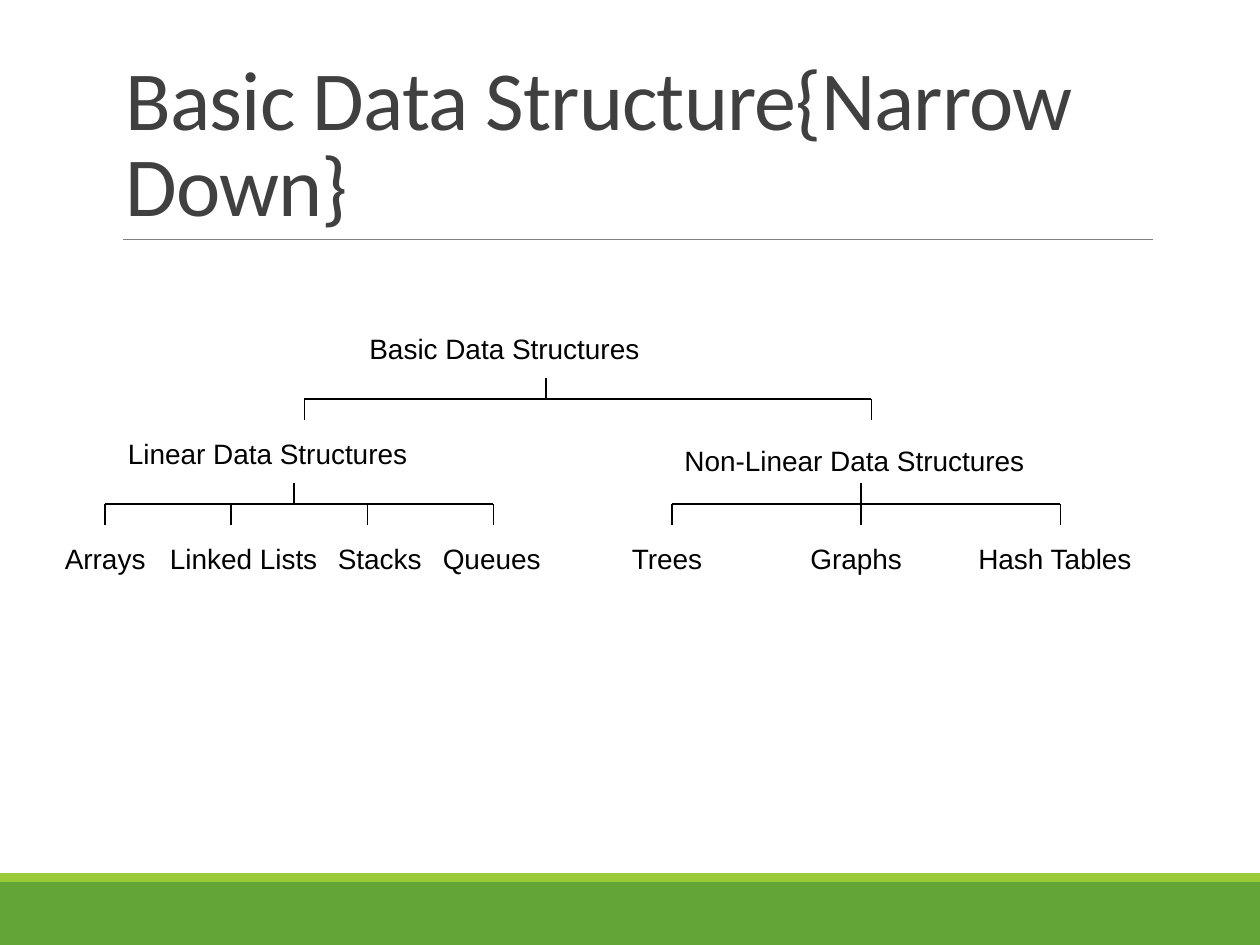
import pptx
import pptx.dml.color
import pptx.enum.shapes
import pptx.enum.text
import pptx.oxml
import pptx.util

Pt = pptx.util.Pt

# Content (lengths in points)
TITLE = "Basic Data Structure{Narrow Down}"
LABEL_HEIGHT = 26.6
LEAF_TOP = 306
LABELS = [  # text, left, top, width
    ("Basic Data Structures", 204, 186, 198),
    ("Linear Data Structures", 66, 246, 198),
    ("Non-Linear Data Structures", 384, 250, 234),
    ("Arrays", 30, LEAF_TOP, 66),
    ("Linked Lists", 90, LEAF_TOP, 108),
    ("Stacks", 186, LEAF_TOP, 66),
    ("Queues", 246, LEAF_TOP, 78),
    ("Trees", 354, LEAF_TOP, 66),
    ("Graphs", 456, LEAF_TOP, 90),
    ("Hash Tables", 552, LEAF_TOP, 114),
]
STEM = 12
BRANCHES = [  # parent x, top of the stem, x of each child
    (312, 216, (174, 498)),
    (168, 276, (60, 132, 210, 282)),
    (492, 276, (384, 492, 606)),
]
THEME = {
    "footer": "63A537", "footer_edge": "99CB38", "rule": "808080",
    "title": "404040", "ink": "000000",
    "title_font": "Calibri", "label_font": "Arial",
    "title_size": 48, "label_size": 16,
    "rule_width": 0.5, "branch_width": 0.75,
}


def rgb(name):
    return pptx.dml.color.RGBColor.from_string(THEME[name])


def add_text(slide, text, left, top, width, height, *, font, size, color,
             anchor=pptx.enum.text.MSO_ANCHOR.TOP, line_spacing=None, tracking=None):
    shape = slide.shapes.add_textbox(Pt(left), Pt(top), Pt(width), Pt(height))
    frame = shape.text_frame
    frame.word_wrap = True
    frame.vertical_anchor = anchor
    paragraph = frame.paragraphs[0]
    paragraph.line_spacing = line_spacing
    run = paragraph.add_run()
    run.text = text
    run.font.name = THEME[font]
    run.font.size = Pt(THEME[size])
    run.font.color.rgb = rgb(color)
    if tracking is not None:
        run.font._element.set("spc", str(round(tracking * 100)))


def add_line(slide, x1, y1, x2, y2, color="ink", width="branch_width"):
    line = slide.shapes.add_connector(
        pptx.enum.shapes.MSO_CONNECTOR.STRAIGHT, Pt(x1), Pt(y1), Pt(x2), Pt(y2))
    line.line.color.rgb = rgb(color)
    line.line.width = Pt(THEME[width])
    line._element.spPr.append(pptx.oxml.parse_xml(
        '<a:effectLst xmlns:a="http://schemas.openxmlformats.org/drawingml/2006/main"/>'))


def add_band(slide, top, height, color):
    shape = slide.shapes.add_shape(
        pptx.enum.shapes.MSO_SHAPE.RECTANGLE, 0, Pt(top), Pt(720), Pt(height))
    shape.shadow.inherit = False
    shape.fill.solid()
    shape.fill.fore_color.rgb = rgb(color)
    shape.line.fill.background()


def add_branch(slide, parent_x, top, children):
    bar = top + STEM
    add_line(slide, children[0], bar, children[-1], bar)
    add_line(slide, parent_x, top, parent_x, bar)
    for child_x in children:
        add_line(slide, child_x, bar, child_x, bar + STEM)


def main():
    presentation = pptx.Presentation()
    presentation.slide_width, presentation.slide_height = Pt(720), Pt(540)
    slide = presentation.slides.add_slide(presentation.slide_layouts[6])

    # Footer bands and title rule
    add_band(slide, 504, 36, "footer")
    add_band(slide, 499, 5, "footer_edge")
    add_line(slide, 70.5, 136.8, 658.8, 136.8, "rule", "rule_width")

    # Title
    add_text(slide, TITLE, 64.8, 22.6, 594, 114.2, font="title_font",
             size="title_size", color="title", line_spacing=0.85, tracking=-0.5,
             anchor=pptx.enum.text.MSO_ANCHOR.BOTTOM)

    # Tree
    for text, left, top, width in LABELS:
        add_text(slide, text, left, top, width, LABEL_HEIGHT,
                 font="label_font", size="label_size", color="ink")
    for branch in BRANCHES:
        add_branch(slide, *branch)

    presentation.save("out.pptx")


if __name__ == "__main__":
    main()
